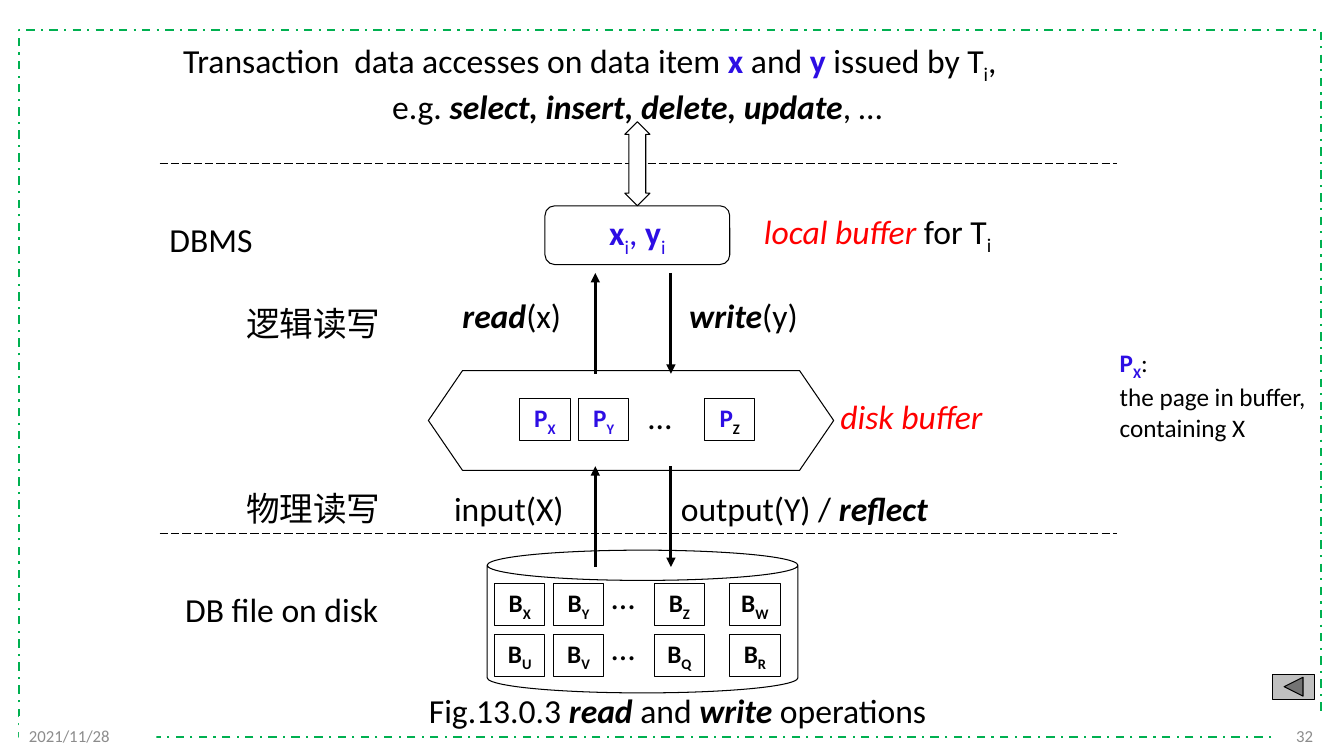
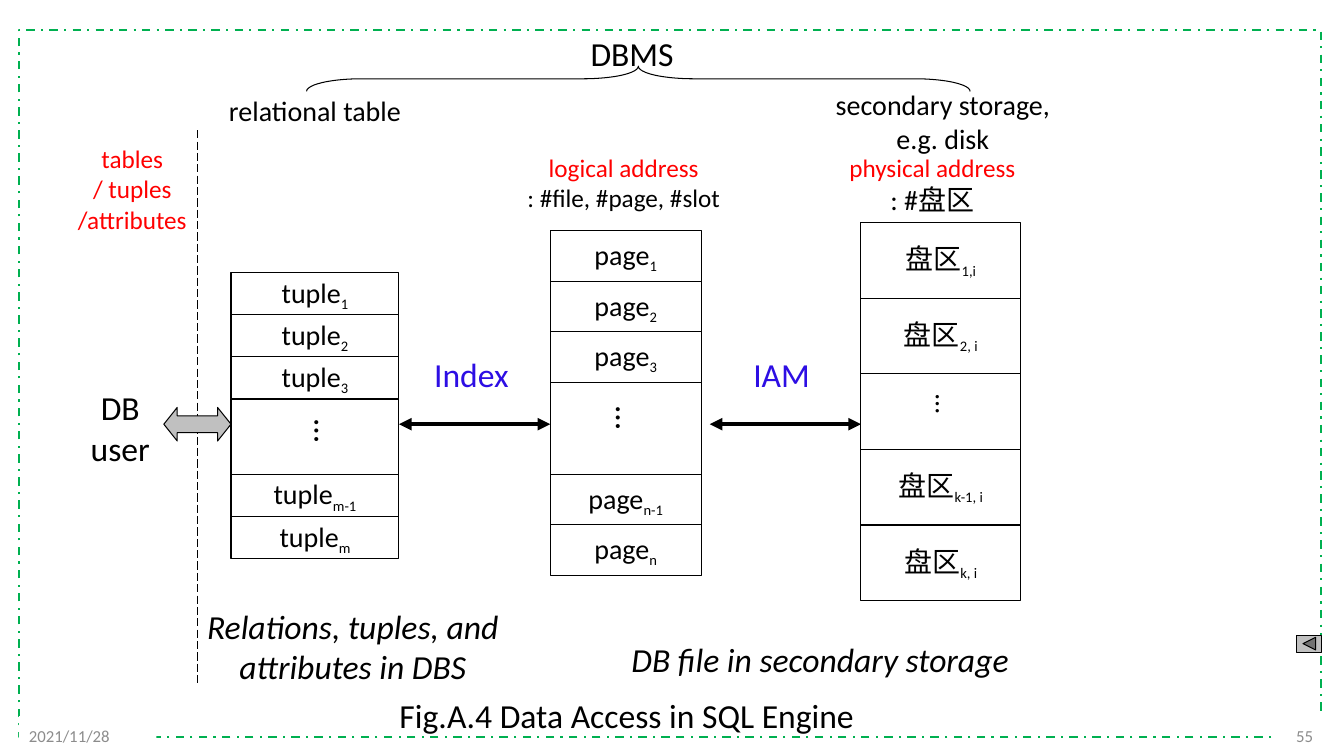
import dataclasses

import pptx
import pptx.dml.color
import pptx.enum.dml
import pptx.enum.shapes
import pptx.enum.text
import pptx.oxml.ns
import pptx.util
from lxml import etree

PX = 9525  # EMU in one px
SLIDE_WIDTH, SLIDE_HEIGHT = 1280, 720
COLORS = {
    "black": "000000", "white": "FFFFFF", "blue": "2D0EE4", "red": "FF0000",
    "gray": "8C8C8C", "silver": "C0C0C0", "green": "00B050",
}
LATIN_FONT, CHINESE_FONT = "Calibri", "Noto Sans CJK SC"
SHAPE = pptx.enum.shapes.MSO_SHAPE
DASH = pptx.enum.dml.MSO_LINE
ALIGN = pptx.enum.text.PP_ALIGN
ANCHOR = pptx.enum.text.MSO_ANCHOR


@dataclasses.dataclass
class Box:
    left: int
    top: int
    width: int
    height: int = 48

    def inner(self, left, top, width, height=48):
        return Box(self.left + left, self.top + top, width, height)

    def emu(self):
        return [n * PX for n in (self.left, self.top, self.width, self.height)]


# ---- text ----
def rgb(name):
    return pptx.dml.color.RGBColor.from_string(COLORS[name])


def style_font(font, style):
    """Style words: a colour, a size in points, bold, italic."""
    for word in style.split():
        if word in COLORS:
            font.color.rgb = rgb(word)
        elif word.isdigit():
            font.size = pptx.util.Pt(int(word))
        elif word in ("bold", "italic"):
            setattr(font, word, True)


def fill_text(frame, paras, style="", align=ALIGN.LEFT):
    """A paragraph is a string or a list of (text, style) spans."""
    frame.word_wrap = True
    for index, spans in enumerate(paras):
        para = frame.add_paragraph() if index else frame.paragraphs[0]
        para.alignment = align
        style_font(para.font, "black 24 " + style)
        para.font.name = LATIN_FONT
        default = para._p.pPr.find(pptx.oxml.ns.qn("a:defRPr"))
        etree.SubElement(default, pptx.oxml.ns.qn("a:ea"), typeface=CHINESE_FONT)
        for text, span_style in [(spans, "")] if isinstance(spans, str) else spans:
            span = para.add_run()
            span.text = text
            style_font(span.font, span_style)
            if "sub" in span_style.split():
                span._r.get_or_add_rPr().set("baseline", "-25000")


def add_text(page, box, *paras, style="", align=ALIGN.LEFT):
    frame = page.shapes.add_textbox(*box.emu()).text_frame
    fill_text(frame, paras, style, align)
    return frame


def add_centered(page, box, *paras, style=""):
    return add_text(page, box, *paras, style=style, align=ALIGN.CENTER)


def add_vertical_dots(page, box, style):
    frame = add_centered(page, box, "…", style=style)
    clear_margins(frame)
    frame._txBody.bodyPr.set("vert", "eaVert")


def clear_margins(frame):
    frame.margin_left = frame.margin_right = 0
    frame.margin_top = frame.margin_bottom = 0
    frame.vertical_anchor = ANCHOR.MIDDLE


# ---- shapes and lines ----
def add_shape(page, kind, box, fill=None, line="black", weight=0.75, adjust=()):
    shape = page.shapes.add_shape(kind, *box.emu())
    shape.shadow.inherit = False
    for index, value in enumerate(adjust):
        shape.adjustments[index] = value
    if fill:
        shape.fill.solid()
        shape.fill.fore_color.rgb = rgb(fill)
    else:
        shape.fill.background()
    if line:
        shape.line.color.rgb = rgb(line)
        shape.line.width = pptx.util.Pt(weight)
    else:
        shape.line.fill.background()
    return shape


def add_cell(page, box, spans, style):
    cell = add_shape(page, SHAPE.RECTANGLE, box)
    if spans:
        clear_margins(cell.text_frame)
        fill_text(cell.text_frame, [spans], style, ALIGN.CENTER)


def add_line(page, start, end, weight=0.75, dash=None, heads=()):
    points = [n * PX for n in (*start, *end)]
    line = page.shapes.add_connector(
        pptx.enum.shapes.MSO_CONNECTOR.STRAIGHT, *points)
    line.line.color.rgb = rgb("black")
    line.line.width = pptx.util.Pt(weight)
    if dash:
        line.line.dash_style = dash
    outline = line.line._get_or_add_ln()
    for head in heads:
        etree.SubElement(outline, pptx.oxml.ns.qn("a:" + head), type="triangle")
    etree.SubElement(line._element.spPr, pptx.oxml.ns.qn("a:effectLst"))


# ---- what the slides share ----
def new_page(deck, number, back_box):
    page = deck.slides.add_slide(deck.slide_layouts[6])
    border = add_shape(page, SHAPE.RECTANGLE, Box(18, 29, 1240, 673),
                       line="green", weight=1.5)
    border.line.dash_style = DASH.DASH_DOT
    footers = (
        (Box(1212, 682, 48, 38), str(number), ALIGN.RIGHT),
        (Box(18, 682, 131, 38), "2021/11/28", ALIGN.LEFT),
    )
    for box, text, align in footers:
        footer = add_shape(page, SHAPE.RECTANGLE, box, "white", None)
        footer.text_frame.vertical_anchor = ANCHOR.MIDDLE
        fill_text(footer.text_frame, [text], "12 gray", align)
    add_shape(page, SHAPE.ACTION_BUTTON_BACK_OR_PREVIOUS, back_box, "silver")
    return page


# ---- regions of the read and write slide ----
def place_transaction(page, box):
    add_text(page, box.inner(0, 0, 170), "Transaction")
    frame = add_text(
        page, box.inner(163, 0, 660, 88),
        [("data accesses on data item ", ""), ("x", "blue bold"), (" and ", ""),
         ("y", "blue bold"), (" issued by T", ""), ("i", "sub"), (",", "")],
        [("e.g. ", ""), ("select, insert, delete, update", "bold italic"),
         (", …", "")])
    frame.paragraphs[1]._p.get_or_add_pPr().set("indent", str(36 * PX))


def place_local_buffer(page, box):
    buffer = add_shape(page, SHAPE.ROUNDED_RECTANGLE, box, "white", adjust=[0.167])
    clear_margins(buffer.text_frame)
    fill_text(buffer.text_frame,
              [[("x", "bold"), ("i", "sub"), (", ", ""), ("y", "bold"),
                ("i", "sub")]], "blue", ALIGN.CENTER)
    add_shape(page, SHAPE.UP_DOWN_ARROW, box.inner(76, -80, 24, 80), "white",
              adjust=[0.5, 0.667])
    add_text(page, box.inner(199, 0, 260),
             [("local buffer ", "red italic"), ("for T", ""), ("i", "sub")])


def place_disk_buffer(page, box):
    add_shape(page, SHAPE.HEXAGON, box, "white", adjust=[0.342])
    pages = ((87, "X", "blue"), (143, "Y", "blue"), (263, "Z", "black"))
    for left, name, color in pages:
        add_cell(page, box.inner(left, 27, 48, 40),
                 [("P", "blue"), (name, "sub " + color)], "18 bold")
    add_text(page, box.inner(200, 19, 42), "…")
    add_text(page, box.inner(383, 19, 170), "disk buffer", style="red italic")


def place_disk_file(page, box):
    add_shape(page, SHAPE.CAN, box, "white", adjust=[0.212])
    for row, names in enumerate(("XYZW", "UVQR")):
        top = 32 + 48 * row
        for left, name in zip((7, 63, 159, 231), names):
            add_cell(page, box.inner(left, top, 48, 40),
                     [("B", ""), (name, "sub")], "18 bold")
        add_text(page, box.inner(109, top - 12, 42), "…")


def place_arrow_pair(page, box):
    right, bottom = box.left + box.width, box.top + box.height
    add_line(page, (box.left, bottom), (box.left, box.top), 2.25, heads=["tailEnd"])
    add_line(page, (right, box.top), (right, bottom), 2.25, heads=["tailEnd"])


def build_operations(deck):
    page = new_page(deck, 32, Box(1212, 642, 40, 24))
    for top in (156, 508):
        add_line(page, (152, top), (1064, top), dash=DASH.LONG_DASH)
    place_transaction(page, Box(165, 33, 820, 88))
    place_local_buffer(page, Box(519, 196, 176, 56))
    place_disk_buffer(page, Box(408, 353, 386, 95))
    place_disk_file(page, Box(464, 524, 296, 136))
    for top in (260, 444):
        place_arrow_pair(page, Box(567, top, 72, 96))

    # levels on the left, operations beside the arrows
    labels = (
        (152, 204, "DBMS"),
        (225, 284, "逻辑读写"),
        (225, 460, "物理读写"),
        (167, 556, "DB file on disk"),
        (431, 276, [("read", "bold italic"), ("(x)", "")]),
        (647, 276, [("write", "bold italic"), ("(y)", "")]),
        (423, 460, "input(X)"),
        (639, 460, [("output(Y) / ", ""), ("reflect", "bold italic")]),
        (399, 652, [("Fig.13.0.3 ", ""), ("read", "bold italic"), (" and ", ""),
                    ("write", "bold italic"), (" operations", "")]),
    )
    for left, top, text in labels:
        add_text(page, Box(left, top, 520 if top == 652 else 280), text)
    add_text(page, Box(1057, 326, 212, 97),
             [("P", "blue bold"), ("X", "blue bold sub"), (":", "")],
             "the page in buffer,", "containing X", style="18")


# ---- regions of the data access slide ----
def place_column(page, box, word, marks, row_height, gap_height, mark_size):
    """Stack one cell per mark; None leaves the gap cell."""
    top = 0
    for mark in marks:
        height = row_height if mark else gap_height
        spans = mark and [(word, ""), (mark, f"sub {mark_size}")]
        add_cell(page, box.inner(0, top, box.width, height), spans, "20")
        top += height


def place_brace(page, box):
    # drawn upright, then turned a quarter to lie in the box
    shift = (box.width - box.height) // 2
    brace = add_shape(page, SHAPE.RIGHT_BRACE,
                      box.inner(shift, -shift, box.height, box.width),
                      adjust=[2.194, 0.5])
    brace.rotation = 270


def place_mapping(page, box, name, name_left):
    add_line(page, (box.left, box.top), (box.left + box.width, box.top), 3,
             heads=["headEnd", "tailEnd"])
    add_text(page, box.inner(name_left, -72, 110), name, style="blue")


def build_data_access(deck):
    page = new_page(deck, 55, Box(1235, 605, 24, 16))
    add_text(page, Box(553, 27, 110), "DBMS")
    place_brace(page, Box(292, 63, 632, 24))

    # user side
    add_line(page, (188, 124), (188, 652), dash=DASH.LONG_DASH)
    add_shape(page, SHAPE.LEFT_RIGHT_ARROW, Box(156, 388, 64, 32), "silver",
              adjust=[0.5, 0.4])
    add_centered(page, Box(52, 364, 125, 87), "DB", "user")
    add_centered(page, Box(55, 132, 142, 97), "tables", "/ tuples", "/attributes",
                 style="18 red")

    # three columns of stored units
    place_column(page, Box(220, 260, 160), "tuple",
                 ("1", "2", "3", None, "m-1", "m"), 40, 72, 18)
    place_column(page, Box(524, 220, 144), "page",
                 ("1", "2", "3", None, "n-1", "n"), 48, 88, 18)
    place_column(page, Box(820, 212, 152), "盘区",
                 ("1,i", "2, i", None, "k-1, i", "k, i"), 72, 72, 18)
    add_vertical_dots(page, Box(283, 400, 59, 32), "24")
    add_vertical_dots(page, Box(570, 387, 59, 32), "24")
    add_vertical_dots(page, Box(876, 376, 52, 28), "20")
    place_mapping(page, Box(380, 404, 144), "Index", 24)
    place_mapping(page, Box(676, 404, 144), "IAM", 32)

    # headings and captions
    add_centered(page, Box(200, 84, 200, 42), "relational table", style="20")
    add_centered(page, Box(772, 79, 252, 74), "secondary storage,", "e.g. disk",
                 style="20")
    add_centered(page, Box(484, 140, 220, 68), [("logical address", "red")],
                 ": #file, #page, #slot", style="18")
    add_centered(page, Box(788, 140, 200, 70), [("physical address", "red")],
                 [(": #盘区", "20")], style="18")
    add_centered(page, Box(176, 572, 320, 87), "Relations, tuples, and",
                 "attributes in DBS", style="italic")
    add_centered(page, Box(571, 604, 420), "DB file in secondary storage",
                 style="italic")
    add_text(page, Box(371, 657, 500), "Fig.A.4 Data Access in SQL Engine")


def main():
    deck = pptx.Presentation()
    deck.slide_width = SLIDE_WIDTH * PX
    deck.slide_height = SLIDE_HEIGHT * PX
    build_operations(deck)
    build_data_access(deck)
    deck.save("out.pptx")


if __name__ == "__main__":
    main()
